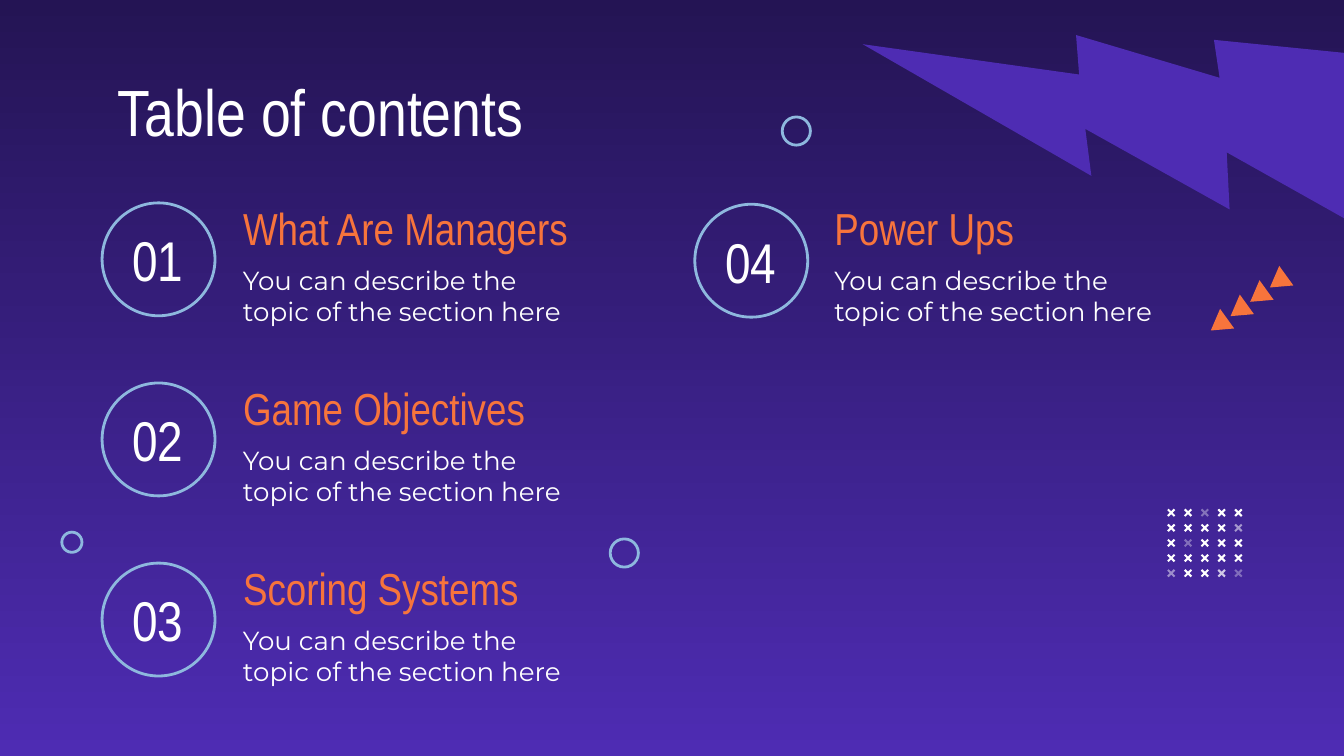
"""Build the "Table of contents" slide with four numbered sections."""
from dataclasses import dataclass

from lxml import etree
from pptx import Presentation
from pptx import util as u
from pptx.dml.color import RGBColor
from pptx.enum import shapes, text
from pptx.oxml.ns import qn


@dataclass(frozen=True)
class Theme:
    night: str = "241454"
    violet: str = "4E2CB3"
    orange: str = "F7743C"
    sky: str = "8EB8DE"
    white: str = "FFFFFF"
    display: str = "Arial Narrow"
    body: str = "Montserrat"
    title_size: int = 35
    number_size: int = 30
    heading_size: int = 24
    body_size: int = 14
    ring_width: float = 1.5


class Deck:
    def __init__(self, prs, theme):
        self.theme = theme
        self.s = prs.slides.add_slide(prs.slide_layouts[6])

    def background(self):
        fill = self.s.background.fill
        fill.gradient()
        fill.gradient_angle = 270
        for stop, color in zip(fill.gradient_stops, (self.theme.night, self.theme.violet)):
            stop.color.rgb = RGBColor.from_string(color)

    def shape(self, kind, x, y, w, h, color, rotation=0, alpha=100):
        sp = self.s.shapes.add_shape(kind, *map(u.Inches, (x, y, w, h)))
        sp.shadow.inherit = False
        sp.rotation = rotation
        sp.fill.solid()
        sp.fill.fore_color.rgb = RGBColor.from_string(color)
        sp.line.fill.background()
        if alpha < 100:
            clr = sp.element.spPr.find(qn("a:solidFill"))[0]
            etree.SubElement(clr, qn("a:alpha")).set("val", str(alpha * 1000))
        return sp

    def ring(self, x, y, size):
        sp = self.shape(shapes.MSO_SHAPE.OVAL, x, y, size, size, self.theme.sky)
        sp.fill.background()
        sp.line.color.rgb = RGBColor.from_string(self.theme.sky)
        sp.line.width = u.Pt(self.theme.ring_width)

    def bolt(self, x, y, size, rotation):
        sp = self.shape(shapes.MSO_SHAPE.LIGHTNING_BOLT, x, y, size, size,
                        self.theme.violet, rotation)
        sp.element.spPr.xfrm.set("flipH", "1")

    def triangle(self, x, y):
        self.shape(shapes.MSO_SHAPE.ISOSCELES_TRIANGLE, x, y, 0.18, 0.15,
                   self.theme.orange, 234.2)

    def cross(self, x, y, alpha):
        sp = self.shape(shapes.MSO_SHAPE.CROSS, x, y, 0.07, 0.07,
                        self.theme.white, 315, alpha)
        sp.adjustments[0] = 0.39

    def label(self, words, x, y, w, h, size, color, font,
              anchor=text.MSO_ANCHOR.MIDDLE, align=text.PP_ALIGN.LEFT):
        tf = self.s.shapes.add_textbox(*map(u.Inches, (x, y, w, h))).text_frame
        tf.word_wrap = True
        tf.vertical_anchor = anchor
        tf.margin_left = tf.margin_right = u.Inches(0.1)
        tf.margin_top = tf.margin_bottom = u.Inches(0.1)
        p = tf.paragraphs[0]
        p.alignment = align
        r = p.add_run()
        r.text = words
        r.font.name = font
        r.font.size = u.Pt(size)
        r.font.color.rgb = RGBColor.from_string(color)

    def section(self, number, heading, x, y, ring_x, ring_y):
        t = self.theme
        self.ring(ring_x, ring_y, 0.84)
        self.label(number, ring_x - 0.03, ring_y - 0.06, 0.89, 0.96, t.number_size,
                   t.white, t.display, align=text.PP_ALIGN.CENTER)
        self.label(heading, x, y, 3.41, 0.37, t.heading_size, t.orange, t.display)
        self.label("You can describe the topic of the section here",
                   x, y + 0.37, 2.76, 0.64, t.body_size, t.white, t.body)


def main():
    prs = Presentation()
    prs.slide_width = u.Inches(10)
    prs.slide_height = u.Inches(10 * 9 / 16)
    theme = Theme()
    deck = Deck(prs, theme)
    deck.background()
    deck.bolt(7, -0.68, 3.17, 59.9)

    deck.label("Table of contents", 0.78, 0.43, 8.43, 0.64, theme.title_size,
               theme.white, theme.display, anchor=text.MSO_ANCHOR.TOP)
    headings = ("What Are Managers", "Game Objectives", "Scoring Systems")
    for row, heading in enumerate(headings):
        y = 1.51 + 1.34 * row
        deck.section(f"{row + 1:02}", heading, 1.71, y, 0.76, y)
    deck.section("04", "Power Ups", 6.11, 1.51, 5.17, 1.52)

    faded = {(0, 2): 36, (1, 4): 53, (2, 1): 34, (4, 0): 48, (4, 3): 75, (4, 4): 33}
    for row in range(5):
        for col in range(5):
            deck.cross(8.68 + 0.5 / 4 * col, 3.78 + 0.45 / 4 * row,
                       faded.get((row, col), 100))

    for x, y, size in ((0.46, 3.96, 0.15), (5.82, 0.87, 0.21), (4.54, 4.01, 0.21)):
        deck.ring(x, y, size)
    for step in range(4):
        deck.triangle(9.42 - 0.44 / 3 * step, 2.02 + 0.32 / 3 * step)

    prs.save("out.pptx")


if __name__ == "__main__":
    main()
